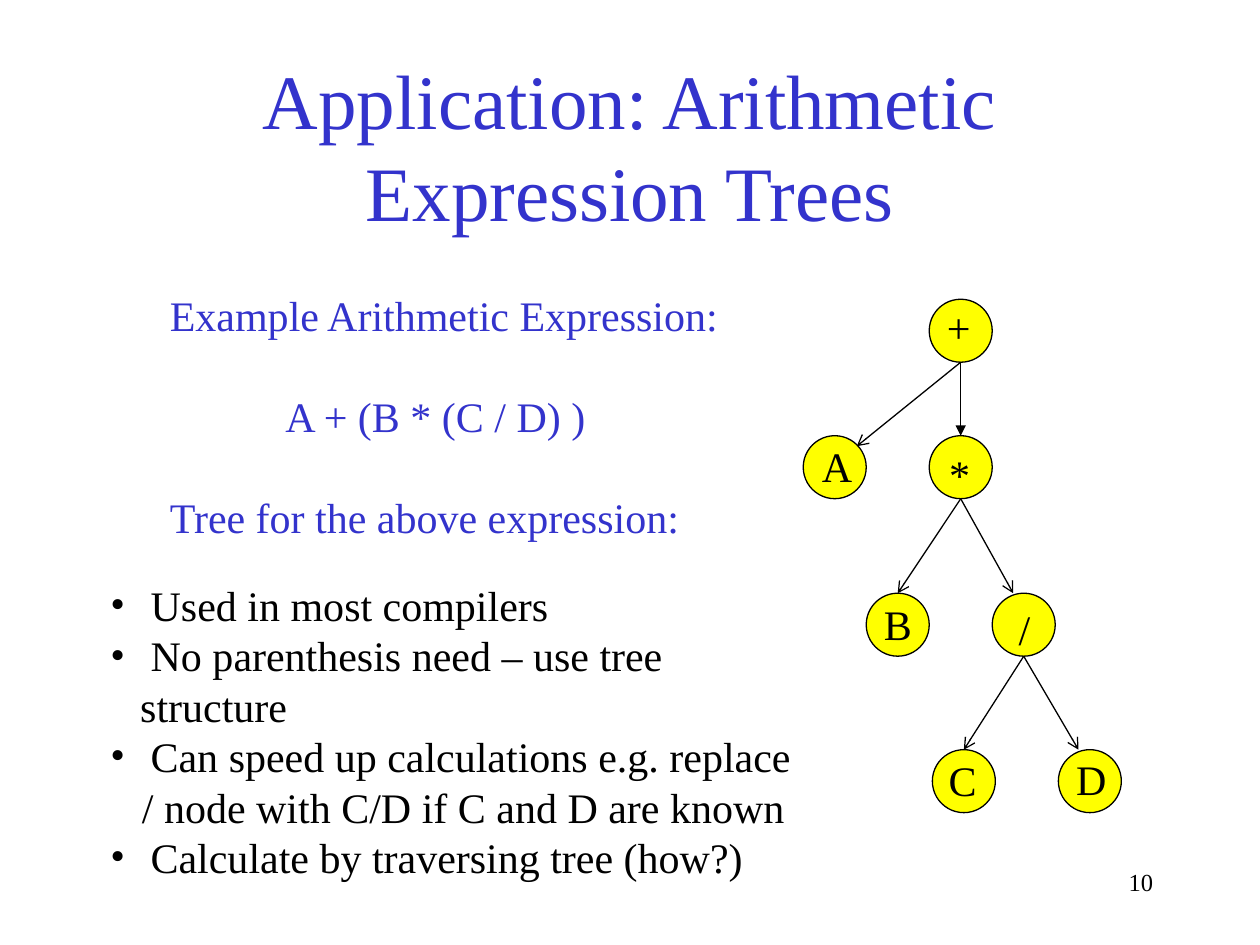
import pptx
import pptx.dml.color
import pptx.enum.shapes
import pptx.enum.text
import pptx.oxml.ns
import pptx.util
from lxml import etree

Pt = pptx.util.Pt
qn = pptx.oxml.ns.qn
ALIGN = pptx.enum.text.PP_ALIGN
ANCHOR = pptx.enum.text.MSO_ANCHOR
SHAPE = pptx.enum.shapes.MSO_SHAPE
CONNECTOR = pptx.enum.shapes.MSO_CONNECTOR

FONT = "Times New Roman"
BODY = 24
LEADING = 1.2
COLORS = {"heading": "3333CC", "ink": "000000", "node": "FFFF00"}
NODE = 36


def rgb(name):
    return pptx.dml.color.RGBColor.from_string(COLORS[name])


def add_box(s, box, anchor=ANCHOR.TOP):
    tf = s.shapes.add_textbox(*(Pt(v) for v in box)).text_frame
    tf.word_wrap = True
    tf.vertical_anchor = anchor
    return tf


def add_text(p, text, size=BODY, color="ink", align=ALIGN.LEFT):
    p.alignment = align
    p.line_spacing = Pt(size * LEADING)
    r = p.add_run()
    r.text = text
    r.font.name = FONT
    r.font.size = Pt(size)
    r.font.color.rgb = rgb(color)


def next_paragraph(tf, i):
    return tf.add_paragraph() if i else tf.paragraphs[0]


def set_indent(p, left, first=0):
    pPr = p._p.get_or_add_pPr()
    pPr.set("marL", str(Pt(left)))
    pPr.set("indent", str(Pt(first)))
    return pPr


def add_bullet(p, left):
    pPr = set_indent(p, left, -left)
    clr = etree.SubElement(pPr, qn("a:buClr"))
    etree.SubElement(clr, qn("a:srgbClr")).set("val", COLORS["ink"])
    etree.SubElement(pPr, qn("a:buFont")).set("typeface", FONT)
    etree.SubElement(pPr, qn("a:buChar")).set("char", "•")


def add_title(s, box):
    tf = add_box(s, box, ANCHOR.MIDDLE)
    add_text(tf.paragraphs[0], "Application: Arithmetic Expression Trees",
             44, "heading", ALIGN.CENTER)


def add_example(s, box):
    tf = add_box(s, box)
    lines = [("Example Arithmetic Expression:", 0),
             ("A + (B * (C / D) )", 66),
             ("Tree for the above expression:", 0)]
    for i, (text, left) in enumerate(lines):
        p = next_paragraph(tf, i)
        set_indent(p, left)
        if i:
            p.space_before = Pt(BODY * LEADING)
        add_text(p, text, color="heading")


def add_notes_list(s, box):
    tf = add_box(s, box)
    lines = [(" Used in most compilers", True),
             (" No parenthesis need – use tree structure", True),
             (" Can speed up calculations e.g. replace", True),
             ("/ node with C/D if C and D are known", False),
             (" Calculate by traversing tree (how?)", True)]
    for i, (text, bulleted) in enumerate(lines):
        p = next_paragraph(tf, i)
        if bulleted:
            add_bullet(p, 17)
        else:
            set_indent(p, 18)
        add_text(p, text)


def add_node(s, x, y):
    sp = s.shapes.add_shape(SHAPE.OVAL, Pt(x), Pt(y), Pt(NODE), Pt(NODE))
    sp.shadow.inherit = False
    sp.fill.solid()
    sp.fill.fore_color.rgb = rgb("node")
    sp.line.color.rgb = rgb("ink")
    sp.line.width = Pt(0.75)


def add_arrow(s, start, end, head):
    c = s.shapes.add_connector(CONNECTOR.STRAIGHT,
                               *(Pt(v) for v in (*start, *end)))
    c.line.color.rgb = rgb("ink")
    c.line.width = Pt(0.75)
    etree.SubElement(c.line._get_or_add_ln(), qn("a:tailEnd")).set("type", head)
    etree.SubElement(c._element.spPr, qn("a:effectLst"))


def add_tree(s, left, top):
    nodes = {"+": (72, 0, 3, -2), "A": (0, 78, 3.6, -0.7),
             "*": (72, 78, 4.3, 3.6), "B": (36, 168, 3, -0.7),
             "/": (108, 168, 8, 2.2), "C": (73.8, 257.4, 2.2, -0.7),
             "D": (145.8, 257.4, 3, -1.4)}
    edges = [("+", "A", 30.6, 6, "arrow"), ("+", "*", 18, 0, "triangle"),
             ("*", "B", 18, 0, "arrow"), ("*", "/", 12, 0, "arrow"),
             ("/", "C", 18, 0, "arrow"), ("/", "D", 11.5, 0, "arrow")]
    for x, y, _, _ in nodes.values():
        add_node(s, left + x, top + y)
    for parent, child, dx, dy, head in edges:
        px, py = nodes[parent][:2]
        cx, cy = nodes[child][:2]
        add_arrow(s, (left + px + NODE / 2, top + py + NODE),
                  (left + cx + dx, top + cy + dy), head)
    for text, (x, y, dx, dy) in nodes.items():
        tf = add_box(s, (left + x + dx, top + y + dy, 32, NODE))
        add_text(tf.paragraphs[0], text)


def add_slide_number(s, box):
    add_text(add_box(s, box).paragraphs[0], "10", 14, align=ALIGN.RIGHT)


def main():
    prs = pptx.Presentation()
    prs.slide_width, prs.slide_height = Pt(720), Pt(540)
    s = prs.slides.add_slide(prs.slide_layouts[6])
    add_title(s, (52.5, 51, 615, 63.5))
    add_example(s, (90, 162, 329, 151))
    add_notes_list(s, (56, 327.6, 411, 151))
    add_tree(s, 459, 171)
    add_slide_number(s, (516, 492, 150, 36))
    prs.save("out.pptx")


if __name__ == "__main__":
    main()
